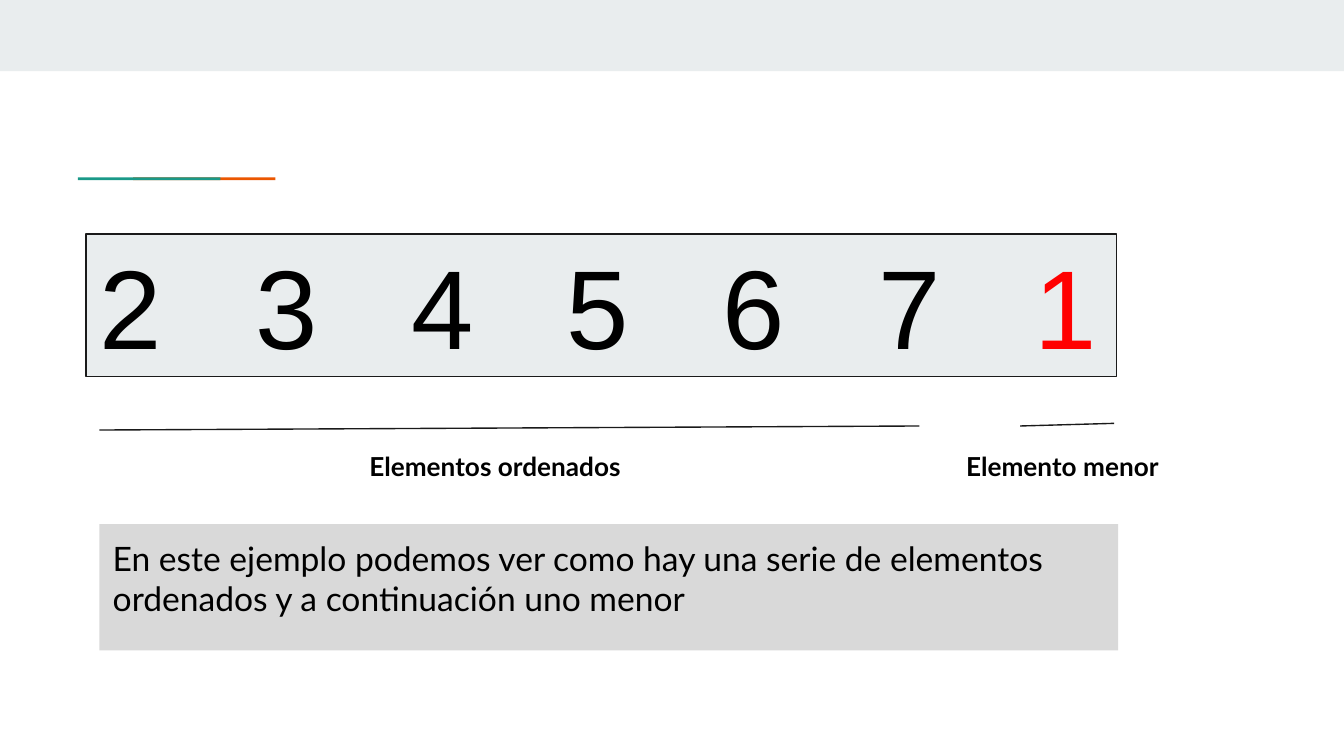
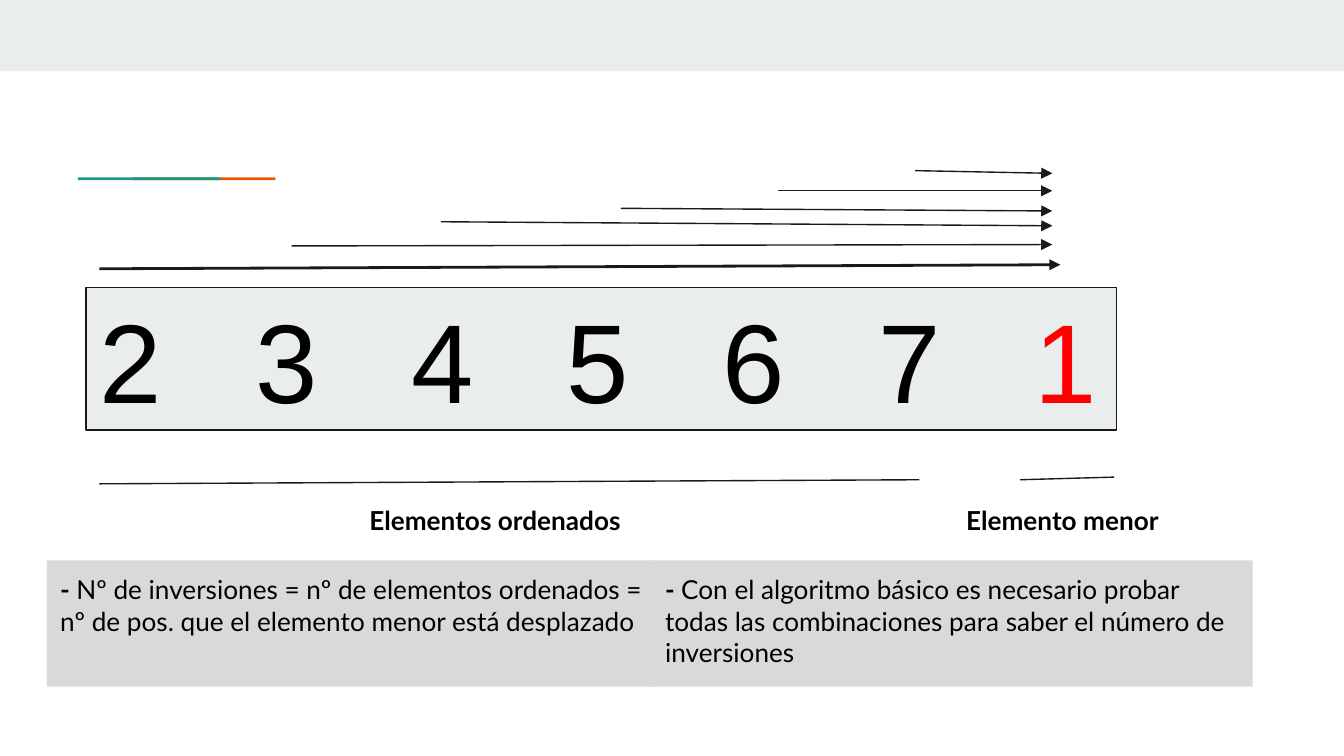
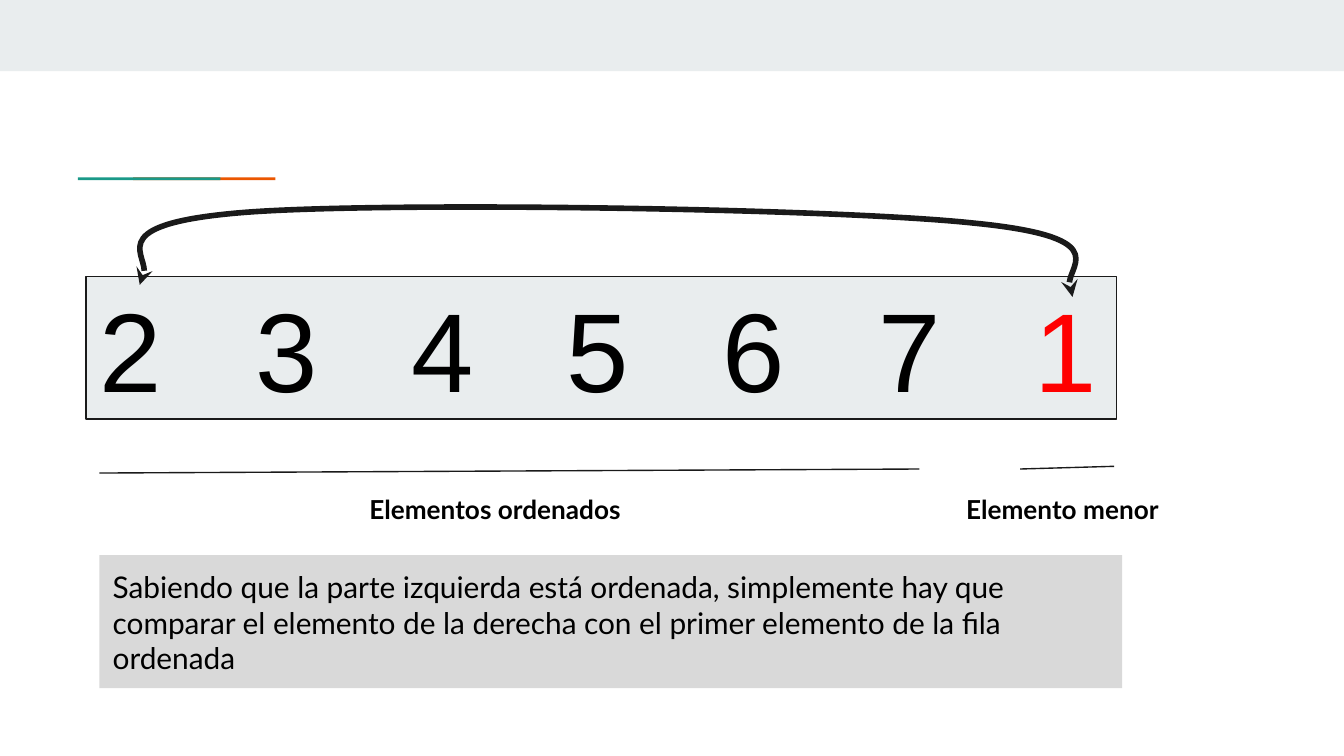
from dataclasses import dataclass
from typing import Any

from lxml.etree import SubElement
from pptx import Presentation
from pptx.dml.color import RGBColor
from pptx.enum.shapes import MSO_CONNECTOR, MSO_SHAPE
from pptx.enum.text import MSO_ANCHOR
from pptx.oxml.ns import qn
from pptx.util import Inches, Pt

HUES = {
    "band": "E9EDEE",
    "teal": "1A9988",
    "orange": "EB5600",
    "ink": "1A1A1A",
    "note": "D9D9D9",
    "text": "000000",
    "least": "FF0000",
}
WIDTH = Inches(10)
INSET = Inches(0.1)
FRAME = {
    "word_wrap": True,
    "margin_left": INSET,
    "margin_right": INSET,
    "margin_top": INSET,
    "margin_bottom": INSET,
}
DIGITS = "234567"
PITCH = 1.16


@dataclass
class Box:
    left: float
    top: float
    width: float
    height: float
    fill: str = ""
    line: str = ""


@dataclass
class Part:
    text: str
    size: int
    bold: bool = False
    hue: str = "text"
    face: str = "Lato"


@dataclass
class Stroke:
    start: tuple[float, float]
    end: tuple[float, float]
    width: float = 0.75
    tail: str = ""


@dataclass
class Curve:
    first: tuple[float, float]
    second: tuple[float, float]
    end: tuple[float, float]


BANDS = [
    Box(0, 0, 10, 0.53, "band"),
    Box(0.99, 1.32, 1.06, 0.02, "orange"),
    Box(0.58, 1.32, 1.06, 0.02, "teal"),
]
ARROWS = [
    Stroke((0.74, 2), (7.89, 1.97), 1.5, "triangle"),
    Stroke((2.17, 1.83), (7.83, 1.82), tail="triangle"),
    Stroke((3.28, 1.65), (7.83, 1.68), tail="triangle"),
    Stroke((4.62, 1.55), (7.83, 1.57), tail="triangle"),
    Stroke((5.79, 1.42), (7.83, 1.42), tail="triangle"),
    Stroke((6.81, 1.27), (7.83, 1.29), tail="triangle"),
]
SWAP_START = (7.98, 2.21)
SWAP = [
    Curve((7.86, 2.12), (8.26, 1.76), (7.24, 1.66)),
    Curve((6.21, 1.55), (2.87, 1.5), (1.83, 1.58)),
    Curve((0.8, 1.66), (1.17, 2.03), (1.04, 2.12)),
]


def put(item: Any, values: dict[str, Any]) -> None:
    for name, value in values.items():
        setattr(item, name, value)


def tint(hue: str) -> RGBColor:
    return RGBColor.from_string(HUES[hue])


def ink(line: Any, hue: str, width: float) -> None:
    line.color.rgb = tint(hue)
    line.width = Pt(width)


def tip(shape: Any, end: str, kind: str) -> None:
    SubElement(shape.line._get_or_add_ln(), qn(f"a:{end}"), type=kind)


def write(shape: Any, parts: list[Part], anchor: Any = MSO_ANCHOR.TOP) -> Any:
    put(shape.text_frame, {**FRAME, "vertical_anchor": anchor})
    line = shape.text_frame.paragraphs[0]
    for part in parts:
        run = line.add_run()
        run.text = part.text
        put(run.font, {"name": part.face, "size": Pt(part.size), "bold": part.bold})
        run.font.color.rgb = tint(part.hue)
    props = line._p.get_or_add_pPr()
    props.set("algn", "l")
    return props


def draw_box(slide: Any, box: Box) -> Any:
    place = map(Inches, (box.left, box.top, box.width, box.height))
    if not box.fill:
        return slide.shapes.add_textbox(*place)
    shape = slide.shapes.add_shape(MSO_SHAPE.RECTANGLE, *place)
    shape.shadow.inherit = False
    shape.fill.solid()
    shape.fill.fore_color.rgb = tint(box.fill)
    if box.line:
        ink(shape.line, box.line, 0.75)
    else:
        shape.line.fill.background()
    return shape


def draw_text(slide: Any, box: Box, parts: list[Part]) -> None:
    write(draw_box(slide, box), parts)


def draw_stroke(slide: Any, stroke: Stroke) -> None:
    ends = map(Inches, (*stroke.start, *stroke.end))
    line = slide.shapes.add_connector(MSO_CONNECTOR.STRAIGHT, *ends)
    ink(line.line, "ink", stroke.width)
    if stroke.tail:
        tip(line, "tailEnd", stroke.tail)
    SubElement(line.element.spPr, qn("a:effectLst"))


def draw_swap(slide: Any) -> None:
    pen = slide.shapes.build_freeform(*map(Inches, SWAP_START))
    pen.add_line_segments([tuple(map(Inches, c.end)) for c in SWAP], close=False)
    shape = pen.convert_to_shape()
    shape.shadow.inherit = False
    shape.fill.background()
    ink(shape.line, "ink", 3)
    for end in ("headEnd", "tailEnd"):
        tip(shape, end, "stealth")
    for bend, curve in zip(list(shape.element.iter(qn("a:lnTo"))), SWAP):
        bend.tag = qn("a:cubicBezTo")
        for spot, (x, y) in enumerate((curve.first, curve.second)):
            point = SubElement(bend, qn("a:pt"))
            point.set("x", str(Inches(x) - shape.left))
            point.set("y", str(Inches(y) - shape.top))
            bend.insert(spot, point)


def draw_row(slide: Any, top: float) -> None:
    row = draw_box(slide, Box(0.64, top, 7.67, 1.06, "band", "ink"))
    props = write(row, [
        Part("".join(f"{digit}\t" for digit in DIGITS), 60, face="Arial"),
        Part("1", 60, hue="least", face="Arial"),
    ], MSO_ANCHOR.MIDDLE)
    tabs = SubElement(props, qn("a:tabLst"))
    for step in range(1, len(DIGITS) + 1):
        SubElement(tabs, qn("a:tab"), pos=str(Inches(PITCH * step)), algn="l")
    base = top + 1.43
    draw_stroke(slide, Stroke((0.74, base + 0.03), (6.84, base)))
    draw_stroke(slide, Stroke((7.59, base), (8.29, base - 0.02)))
    for left, label in ((2.65, "Elementos ordenados"), (7.09, "Elemento menor")):
        draw_text(slide, Box(left, top + 1.51, 2.27, 0.52), [Part(label, 14, True)])


def dress(layout: Any, slide: Any) -> None:
    for band in BANDS:
        layout.shapes.element.append(draw_box(slide, band).element)


def main() -> None:
    deck = Presentation()
    put(deck, {"slide_width": WIDTH, "slide_height": WIDTH * 9 // 16})
    layout = deck.slide_layouts[6]
    case, count, swap = [deck.slides.add_slide(layout) for _ in range(3)]
    dress(layout, case)

    draw_row(case, 1.74)
    draw_text(case, Box(0.74, 3.9, 7.58, 0.94, "note"), [Part(
        "En este ejemplo podemos ver como hay una serie de elementos "
        "ordenados y a continuación uno menor", 18)])

    draw_row(count, 2.14)
    notes = [
        (0.35, 4.54, "Nº de inversiones = nº de elementos ordenados = "
         "nº de pos. que el elemento menor está desplazado"),
        (4.85, 4.47, "Con el algoritmo básico es necesario probar todas las "
         "combinaciones para saber el número de inversiones"),
    ]
    for left, width, text in notes:
        draw_text(count, Box(left, 4.17, width, 0.94, "note"),
                  [Part("- ", 14, True), Part(text, 14)])
    for arrow in ARROWS:
        draw_stroke(count, arrow)

    draw_row(swap, 2.06)
    draw_text(swap, Box(0.74, 4.13, 7.61, 0.99, "note"), [Part(
        "Sabiendo que la parte izquierda está ordenada, simplemente hay que "
        "comparar el elemento de la derecha con el primer elemento de la fila "
        "ordenada", 16)])
    draw_swap(swap)

    deck.save("out.pptx")


if __name__ == "__main__":
    main()
